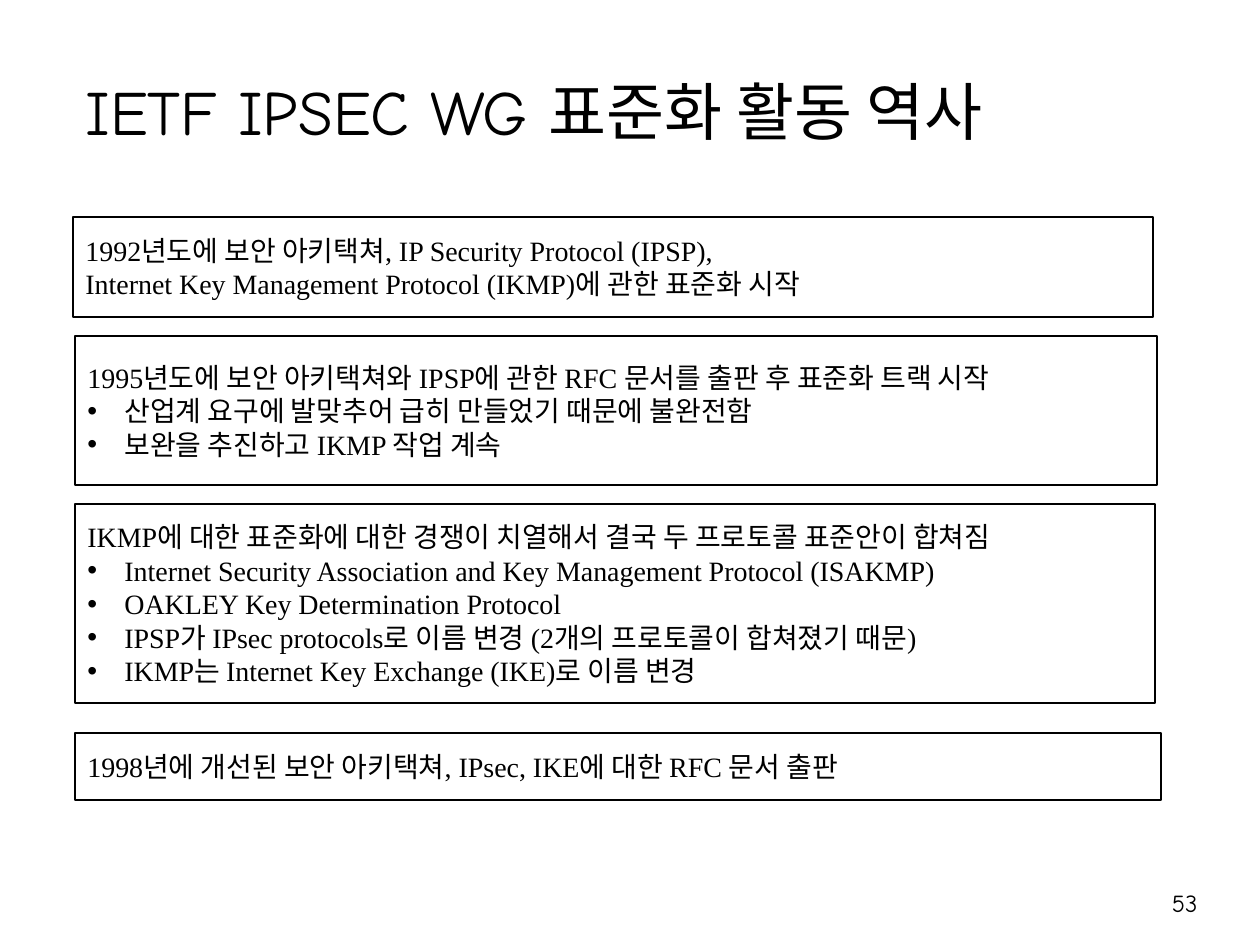
from lxml import etree
from pptx import Presentation
from pptx.dml.color import RGBColor
from pptx.enum.shapes import MSO_SHAPE
from pptx.enum.text import MSO_ANCHOR, PP_ALIGN
from pptx.oxml.ns import qn
from pptx.util import Emu, Pt

RECT = MSO_SHAPE.RECTANGLE
MIDDLE = MSO_ANCHOR.MIDDLE
TOP = MSO_ANCHOR.TOP
LEFT = PP_ALIGN.LEFT
RIGHT = PP_ALIGN.RIGHT

SCALE = 914400 // 126
BLACK = "000000"
HEAD = "Comic Neue"
BODY = "Times New Roman"
INDENT = 37

STAGES = [
    ((73, 217, 1080, 100),
     ["1992년도에 보안 아키택쳐, IP Security Protocol (IPSP),",
      "Internet Key Management Protocol (IKMP)에 관한 표준화 시작"],
     []),
    ((75, 336, 1082, 149),
     ["1995년도에 보안 아키택쳐와 IPSP에 관한 RFC 문서를 출판 후 표준화 트랙 시작"],
     ["산업계 요구에 발맞추어 급히 만들었기 때문에 불완전함",
      "보완을 추진하고 IKMP 작업 계속"]),
    ((75, 504, 1080, 199),
     ["IKMP에 대한 표준화에 대한 경쟁이 치열해서 결국 두 프로토콜 표준안이 합쳐짐"],
     ["Internet Security Association and Key Management Protocol (ISAKMP)",
      "OAKLEY Key Determination Protocol",
      "IPSP가 IPsec protocols로 이름 변경 (2개의 프로토콜이 합쳐졌기 때문)",
      "IKMP는 Internet Key Exchange (IKE)로 이름 변경"]),
    ((75, 733, 1086, 67),
     ["1998년에 개선된 보안 아키택쳐, IPsec, IKE에 대한 RFC 문서 출판"],
     []),
]


def px(n):
    return Emu(n * SCALE)


def color(code):
    return RGBColor.from_string(code)


def write(shape, lines, font, size, align=LEFT, anchor=MIDDLE):
    frame = shape.text_frame
    frame.text = "\n".join(lines)
    frame.word_wrap = True
    frame.vertical_anchor = anchor
    for para in frame.paragraphs:
        para.alignment = align
        for run in para.runs:
            run.font.name = font
            run.font.size = Pt(size)
            run.font.color.rgb = color(BLACK)


def bullet(para):
    props = para._p.get_or_add_pPr()
    props.set("marL", str(px(INDENT)))
    props.set("indent", str(-px(INDENT)))
    etree.SubElement(props, qn("a:buFont")).set("typeface", "Arial")
    etree.SubElement(props, qn("a:buChar")).set("char", "•")


def label(slide, place, text, size, **style):
    box = slide.shapes.add_textbox(*map(px, place))
    write(box, [text], HEAD, size, **style)


def panel(slide, place, intro, points):
    box = slide.shapes.add_shape(RECT, *map(px, place))
    box.shadow.inherit = False
    box.fill.background()
    box.line.color.rgb = color(BLACK)
    box.line.width = Pt(0.75)
    write(box, intro + points, BODY, 16)
    for para in box.text_frame.paragraphs[len(intro):]:
        bullet(para)


def main():
    deck = Presentation()
    deck.slide_width = px(1260)
    deck.slide_height = px(945)
    slide = deck.slides.add_slide(deck.slide_layouts[6])
    label(slide, (1109, 882, 101, 40), "53", 14, align=RIGHT, anchor=TOP)
    label(slide, (73, 32, 1071, 157), "IETF IPSEC WG 표준화 활동 역사", 36)
    for place, intro, points in STAGES:
        panel(slide, place, intro, points)
    deck.save("out.pptx")


if __name__ == "__main__":
    main()
